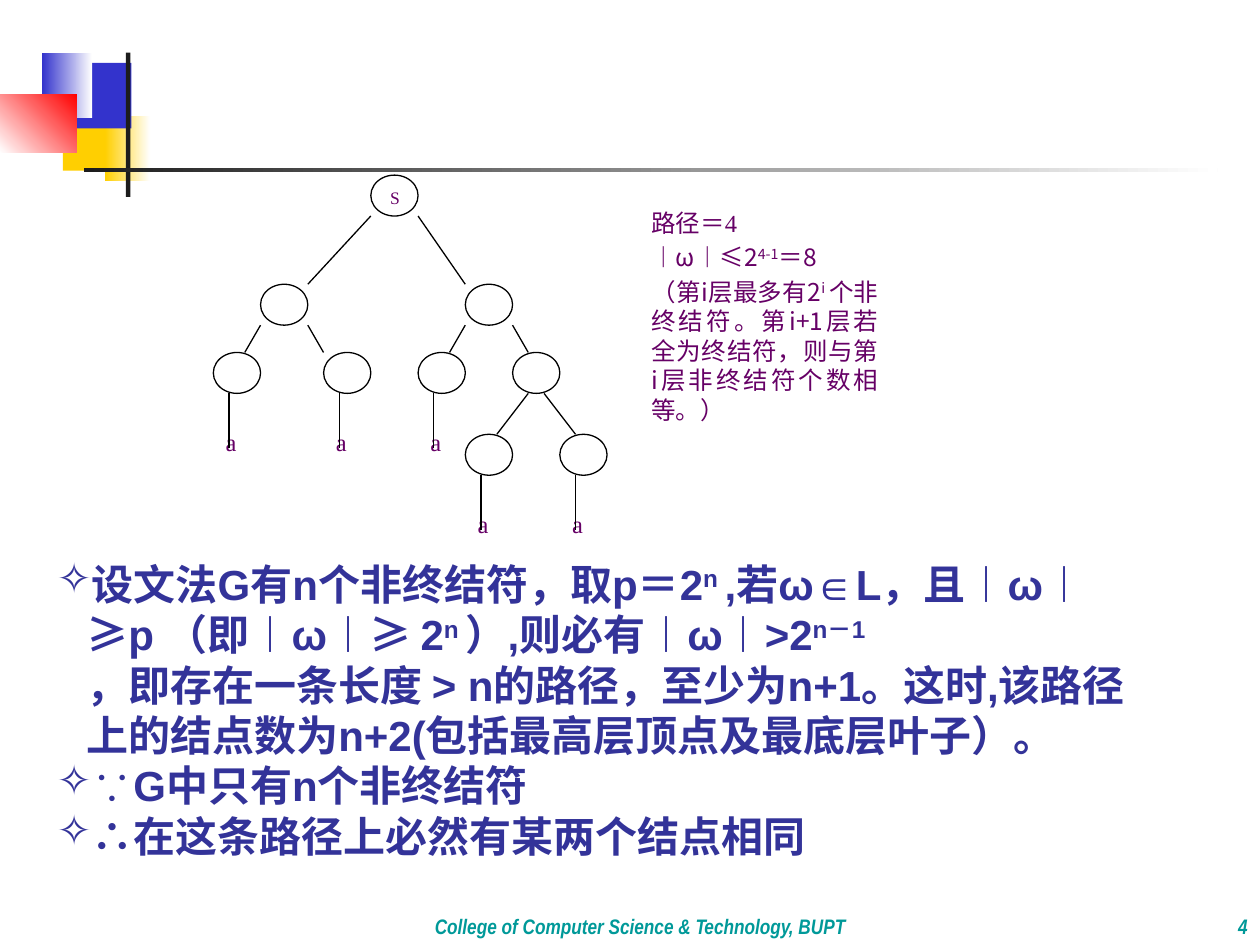
from pptx import Presentation
from pptx.dml.color import RGBColor
from pptx.enum.shapes import MSO_CONNECTOR, MSO_SHAPE
from pptx.enum.text import MSO_ANCHOR, PP_ALIGN
from pptx.oxml.ns import qn
from pptx.util import Cm, Pt
from lxml import etree

LINE = MSO_CONNECTOR.STRAIGHT
RECT, OVAL = MSO_SHAPE.RECTANGLE, MSO_SHAPE.OVAL
TOP, BOTTOM = MSO_ANCHOR.TOP, MSO_ANCHOR.BOTTOM
LEFT, RIGHT = PP_ALIGN.LEFT, PP_ALIGN.RIGHT
CENTER, JUST = PP_ALIGN.CENTER, PP_ALIGN.JUSTIFY

HAN, ROMAN = "Noto Sans CJK SC", "Times New Roman"

# left, top, width, height in cm; colour or (from, to, angle)
DECOR = [
    ((1.27, 2.12, 1.22, 1.32), "FFCF01"),
    ((2.12, 2.33, 0.91, 1.32), ("FFCF01", "FFFFFF", 0)),
    ((1.48, 1.27, 1.17, 1.32), "3333CC"),
    ((0.85, 1.06, 1.01, 1.32), ("3333CC", "FFFFFF", 0)),
    ((0, 1.9, 1.55, 1.17), ("FFFFFF", "FF0000", 45)),
    ((2.54, 1.06, 0.09, 2.91), "1C1C1C"),
    ((1.69, 3.39, 22.86, 0.08), ("1C1C1C", "FFFFFF", 0)),
]

# Text styles: font values, then paragraph values
FOOT = (dict(size=Pt(12), name="Arial Narrow", bold=True, italic=True), "009999")
BODY = (dict(size=Pt(24), name="Arial", bold=True), "333399")
ROOT = (dict(size=Pt(10), name=ROMAN), "660066")
LEAF = (dict(size=Pt(14), name=ROMAN), "660066")
NOTE = (dict(size=Pt(14), name=HAN), "660066")

# A paragraph is a list of parts; "^" starts a superscript, "\n" breaks the line
POINTS = [
    ["设文法G有n个非终结符，取p＝2", "^n ", ",若ω∈L，且︱ω︱≥p （即︱ω︱≥ 2", "^n ",
     "）,则必有︱ω︱>2", "^n－1", "\n",
     "，即存在一条长度 > n的路径，至少为n+1。这时,该路径上的结点数为n+2"
     "(包括最高层顶点及最底层叶子）。"],
    ["∵G中只有n个非终结符"],
    ["∴在这条路径上必然有某两个结点相同"],
]
REMARKS = [
    (LEAF, ["路径＝4"]),
    (NOTE, ["︱ω︱≤2", "^4-1", "＝8"]),
    (NOTE, ["（第i层最多有2", "^i ",
            "个非终结符。第i+1层若全为终结符，则与第i层非终结符个数相等。）"]),
]

# Tree on a fine grid: node -> column, row of its top left corner
NODES = {
    "S": (10, 0),
    "A": (3, 8), "B": (16, 8),
    "C": (0, 13), "D": (7, 13), "E": (13, 13), "F": (19, 13),
    "G": (16, 19), "H": (22, 19),
}
# parent, column offset at its foot, child, column offset at its head
EDGES = [
    ("S", 0, "A", 3), ("S", 3, "B", 0),
    ("A", 0, "C", 2), ("A", 3, "D", 0),
    ("B", 0, "E", 2), ("B", 3, "F", 1),
    ("F", 1, "G", 2), ("F", 2, "H", 1),
]
ENDS = "CDEGH"
STEP, RISE = 0.32, 0.28
SIDE, STEM = 3, 4
SCALE_X, SCALE_Y = 2.54 / 8, 0.275
START_X, START_Y = 4.3, 3.53


def rgb(code):
    return RGBColor.from_string(code)


def assign(obj, **vals):
    for key, val in vals.items():
        setattr(obj, key, val)


def grid(col, row):
    return Cm(START_X + col * SCALE_X), Cm(START_Y + row * SCALE_Y)


def paint(shape, fill):
    shape.shadow.inherit = False
    if isinstance(fill, str):
        shape.fill.solid()
        shape.fill.fore_color.rgb = rgb(fill)
        return
    *ends, angle = fill
    shape.fill.gradient()
    shape.fill.gradient_angle = angle
    for stop, code in zip(shape.fill.gradient_stops, ends):
        stop.color.rgb = rgb(code)


def write(para, parts, style, **vals):
    """Fill a paragraph with styled parts."""
    assign(para, **vals)
    for part in parts:
        if part == "\n":
            para.add_line_break()
            continue
        run = para.add_run()
        run.text = part.lstrip("^")
        assign(run.font, **style[0])
        run.font.color.rgb = rgb(style[1])
        props = run._r.get_or_add_rPr()
        if part.startswith("^"):
            props.set("baseline", "30000")
        etree.SubElement(props, qn("a:ea")).set("typeface", HAN)


def bullet(para, mark, hang):
    props = para._p.get_or_add_pPr()
    props.set("marL", str(hang))
    props.set("indent", str(-hang))
    etree.SubElement(props, qn("a:buChar")).set("char", mark)


def text_box(slide, place, anchor=TOP):
    frame = slide.shapes.add_textbox(*place).text_frame
    assign(frame, word_wrap=True, vertical_anchor=anchor)
    return frame


def cms(*nums):
    return [Cm(num) for num in nums]


def draw_line(slide, start, end):
    line = slide.shapes.add_connector(LINE, *start, *end)
    line.line.color.rgb = rgb("000000")
    line.line.width = Pt(0.75)
    etree.SubElement(line._element.spPr, qn("a:effectLst"))


def draw_tree(slide):
    size = Cm(SIDE * SCALE_X), Cm(SIDE * SCALE_Y)
    for name, (col, row) in NODES.items():
        node = slide.shapes.add_shape(OVAL, *grid(col, row), *size)
        paint(node, "FFFFFF")
        node.line.color.rgb = rgb("000000")
        node.line.width = Pt(0.75)
        if name == "S":
            node.text_frame.vertical_anchor = TOP
            write(node.text_frame.paragraphs[0], ["S"], ROOT, alignment=JUST)
    for top, out, low, into in EDGES:
        col, row = NODES[top]
        end_col, end_row = NODES[low]
        draw_line(slide, grid(col + out, row + SIDE), grid(end_col + into, end_row))
    for name in ENDS:
        col, row = NODES[name]
        place = *grid(col, row + 5), size[0], Cm(STEM * SCALE_Y)
        write(text_box(slide, place).paragraphs[0], ["a"], LEAF, alignment=JUST)
        foot = row + SIDE
        draw_line(slide, grid(col + 1, foot), grid(col + 1, foot + STEM))


def add_paras(frame, count):
    return [frame.paragraphs[0]] + [frame.add_paragraph() for _ in range(count - 1)]


def main():
    deck = Presentation()
    assign(deck, slide_width=Cm(25.4), slide_height=Cm(19.05))
    slide = deck.slides.add_slide(deck.slide_layouts[6])

    for place, fill in DECOR:
        shape = slide.shapes.add_shape(RECT, *cms(*place))
        paint(shape, fill)
        shape.line.fill.background()

    number = text_box(slide, cms(21.17, 17.78, 4.23, 1.27), BOTTOM)
    write(number.paragraphs[0], ["4"], FOOT, alignment=RIGHT)
    school = text_box(slide, cms(4.02, 17.78, 17.78, 1.27), BOTTOM)
    write(school.paragraphs[0], ["College of Computer Science & Technology, BUPT"],
          FOOT, alignment=CENTER, line_spacing=1.1)

    frame = text_box(slide, cms(0.89, 11.13, 22.48, 6.4))
    for para, parts in zip(add_paras(frame, len(POINTS)), POINTS):
        assign(para, alignment=LEFT, line_spacing=Pt(28.8))
        bullet(para, "✧", Cm(0.6))
        write(para, parts, BODY)

    draw_tree(slide)

    frame = text_box(slide, cms(12.88, 4.06, 5.08, 7.7))
    paras = add_paras(frame, len(REMARKS))
    for pos, (para, (style, parts)) in enumerate(zip(paras, REMARKS)):
        write(para, parts, style, alignment=JUST, line_spacing=Pt(16.9),
              space_before=Pt(2.8 if pos else 0))

    deck.save("out.pptx")


if __name__ == "__main__":
    main()
